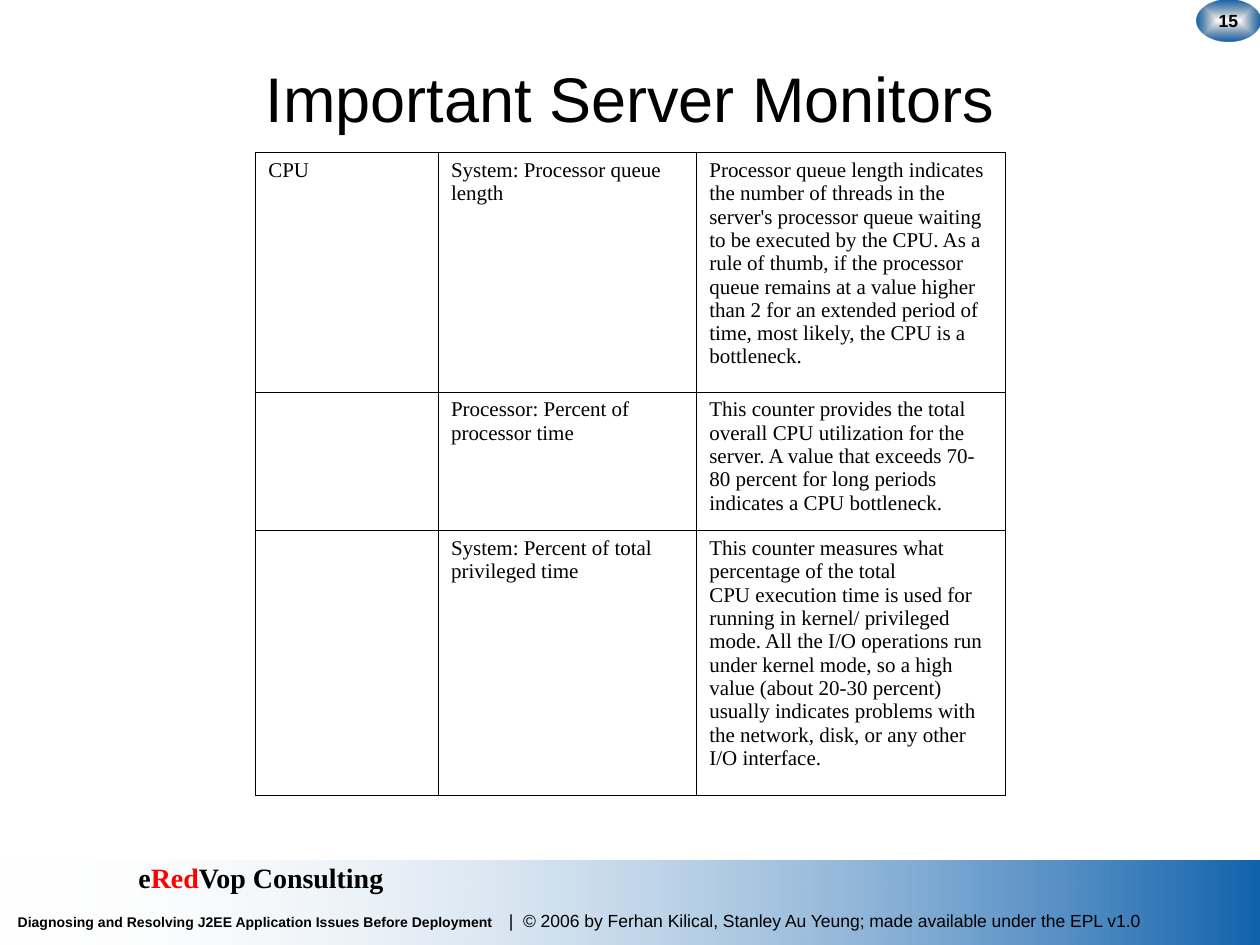
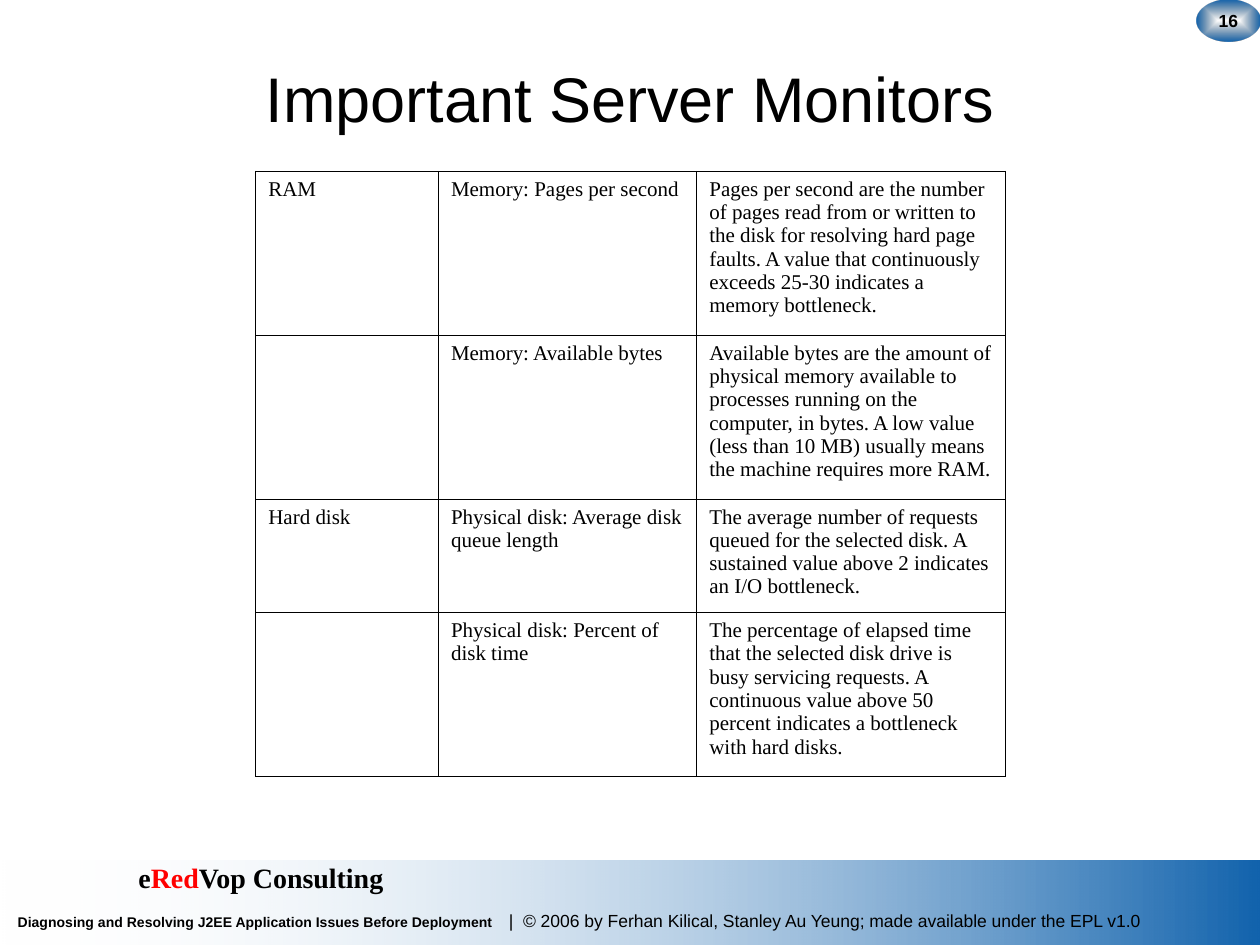
from pptx import Presentation
from pptx.dml.color import RGBColor
from pptx.enum.shapes import MSO_SHAPE
from pptx.enum.text import MSO_ANCHOR, PP_ALIGN
from pptx.oxml import parse_xml
from pptx.oxml.ns import nsdecls, qn
from pptx.util import Inches, Pt

RECTANGLE, OVAL = MSO_SHAPE.RECTANGLE, MSO_SHAPE.OVAL
TOP, MIDDLE = MSO_ANCHOR.TOP, MSO_ANCHOR.MIDDLE
LEFT, CENTER = PP_ALIGN.LEFT, PP_ALIGN.CENTER

GRID_UNIT = Inches(0.25)  # the slide is 40 columns by 30 rows
SANS, SERIF = "Arial", "Times New Roman"
BLACK, RED, BLUE, NAVY, WHITE = "000000", "FF0000", "1263AD", "082D4F", "FEFEFE"
FIRST_PAGE = 15
TITLE = "Important Server Monitors"
COLUMN_WIDTHS = (5.8, 8.2, 9.8)

# Each monitor: resource, counter, lines of the explanation
CPU_MONITORS = [
    ("CPU", "System: Processor queue length",
     "Processor queue length indicates the number of threads in the server's "
     "processor queue waiting to be executed by the CPU. As a rule of thumb, if "
     "the processor queue remains at a value higher than 2 for an extended period "
     "of time, most likely, the CPU is a\nbottleneck."),
    ("", "Processor: Percent of processor time",
     "This counter provides the total overall CPU utilization for the server. "
     "A value that exceeds 70-80 percent for long periods indicates a CPU "
     "bottleneck."),
    ("", "System: Percent of total privileged time",
     "This counter measures what percentage of the total\n"
     "CPU execution time is used for running in kernel/ privileged mode. All the "
     "I/O operations run under kernel mode, so a high value (about 20-30 percent)\n"
     "usually indicates problems with the network, disk, or any other I/O "
     "interface."),
]
MEMORY_AND_DISK_MONITORS = [
    ("RAM", "Memory: Pages per second",
     "Pages per second are the number of pages read from or written to the disk "
     "for resolving hard page faults. A value that continuously exceeds 25-30 "
     "indicates a\nmemory bottleneck."),
    ("", "Memory: Available bytes",
     "Available bytes are the amount of physical memory available to processes "
     "running on the computer, in bytes. A low value (less than 10 MB) usually "
     "means\nthe machine requires more RAM."),
    ("Hard disk", "Physical disk: Average disk queue length",
     "The average number of requests queued for the selected disk. A sustained "
     "value above 2 indicates an I/O bottleneck."),
    ("", "Physical disk: Percent of disk time",
     "The percentage of elapsed time that the selected disk drive is busy "
     "servicing requests. A continuous value above 50 percent indicates a "
     "bottleneck with hard disks."),
]
# Each page: top of the table, heights of its rows, monitors
PAGES = [
    (4.84, (7.6, 4.4, 8.4), CPU_MONITORS),
    (5.44, (5.2, 5.2, 3.6, 5.2), MEMORY_AND_DISK_MONITORS),
]


def color(hex_value):
    return RGBColor.from_string(hex_value)


def units(*counts):
    return [round(count * GRID_UNIT) for count in counts]


def style_font(font, size, name=SANS, ink=BLACK, bold=False):
    font.size, font.name, font.bold = Pt(size), name, bold
    font.color.rgb = color(ink)


class Deck:
    def __init__(self):
        self.presentation = Presentation()
        self.presentation.slide_width, self.presentation.slide_height = units(40, 30)
        self.slide = None

    def new_slide(self, page_number):
        """Start a slide with the footer band, page badge and company name."""
        self.slide = self.presentation.slides.add_slide(
            self.presentation.slide_layouts[6])
        self.gradient_shape(RECTANGLE, (0, 27.32, 40, 2.68), (BLUE, 100), (WHITE, 0),
                            '<a:lin ang="10800000" scaled="0"/>')
        self.text((0, 27.48, 37, 2.56), [
            ("Diagnosing and Resolving J2EE Application Issues Before Deployment",
             dict(size=8, bold=True)),
            (" ", dict(size=32)),
            ("|  © 2006 by Ferhan Kilical, Stanley Au Yeung; "
             "made available under the EPL v1.0", dict(size=10)),
        ], indent=0.14)
        badge = self.gradient_shape(
            OVAL, (38, 0, 2, 1.33), (NAVY, 0), (BLUE, 100),
            '<a:path path="rect">'
            '<a:fillToRect l="50000" t="50000" r="50000" b="50000"/></a:path>')
        self.fill_text(badge.text_frame, [(str(page_number), dict(size=10, bold=True))],
                       MIDDLE, CENTER)
        badge.text_frame.word_wrap = False
        company = dict(size=16, name=SERIF, bold=True)
        self.text((4, 27.12, 12.32, 1.6), [
            ("e", company), ("Red", dict(company, ink=RED)), ("Vop Consulting", company)])

    def gradient_shape(self, preset, box, start, end, direction):
        """Add a shape whose fill runs between two (colour, opacity %) stops."""
        shape = self.slide.shapes.add_shape(preset, *units(*box))
        shape.shadow.inherit = False
        shape.line.fill.background()
        shape.fill.background()
        stops = "".join(
            f'<a:gs pos="{position}"><a:srgbClr val="{ink}">'
            f'<a:alpha val="{opacity * 1000}"/></a:srgbClr></a:gs>'
            for position, (ink, opacity) in zip((0, 100000), (start, end)))
        properties = shape.fill._xPr
        properties.replace(properties.find(qn("a:noFill")), parse_xml(
            f'<a:gradFill {nsdecls("a")} rotWithShape="1">'
            f"<a:gsLst>{stops}</a:gsLst>{direction}</a:gradFill>"))
        return shape

    def fill_text(self, frame, runs, anchor, align):
        frame.vertical_anchor = anchor
        frame.word_wrap = True
        paragraph = frame.paragraphs[0]
        paragraph.alignment = align
        if len(runs) == 1:
            paragraph.text = runs[0][0]
            style_font(paragraph.font, **runs[0][1])
            return
        for words, style in runs:
            run = paragraph.add_run()
            run.text = words
            style_font(run.font, **style)

    def text(self, box, runs, anchor=TOP, align=LEFT, indent=0.1):
        frame = self.slide.shapes.add_textbox(*units(*box)).text_frame
        frame.margin_left = Inches(indent)
        self.fill_text(frame, runs, anchor, align)

    def title(self, words):
        self.text((2, 1.2, 36, 3.8), [(words, dict(size=36))], MIDDLE, CENTER)

    def monitor_table(self, top, row_heights, monitors):
        table = self.slide.shapes.add_table(
            len(monitors), len(COLUMN_WIDTHS),
            *units(8.12, top, sum(COLUMN_WIDTHS), sum(row_heights))).table
        table.first_row = table.horz_banding = False
        for column, width in zip(table.columns, units(*COLUMN_WIDTHS)):
            column.width = width
        for row, height, monitor in zip(table.rows, units(*row_heights), monitors):
            row.height = height
            for cell, words in zip(row.cells, monitor):
                cell.text = words
                cell.fill.background()
                self.outline(cell)
                for paragraph in cell.text_frame.paragraphs:
                    style_font(paragraph.font, 12, SERIF)

    def outline(self, cell):
        properties = cell._tc.get_or_add_tcPr()
        for position, side in enumerate("LRTB"):
            properties.insert(position, parse_xml(
                f'<a:ln{side} {nsdecls("a")} w="{Pt(0.45)}"><a:solidFill>'
                f'<a:srgbClr val="{BLACK}"/></a:solidFill></a:ln{side}>'))


def main():
    deck = Deck()
    for page_number, (top, row_heights, monitors) in enumerate(PAGES, FIRST_PAGE):
        deck.new_slide(page_number)
        deck.monitor_table(top, row_heights, monitors)
        deck.title(TITLE)
    deck.presentation.save("out.pptx")


if __name__ == "__main__":
    main()
